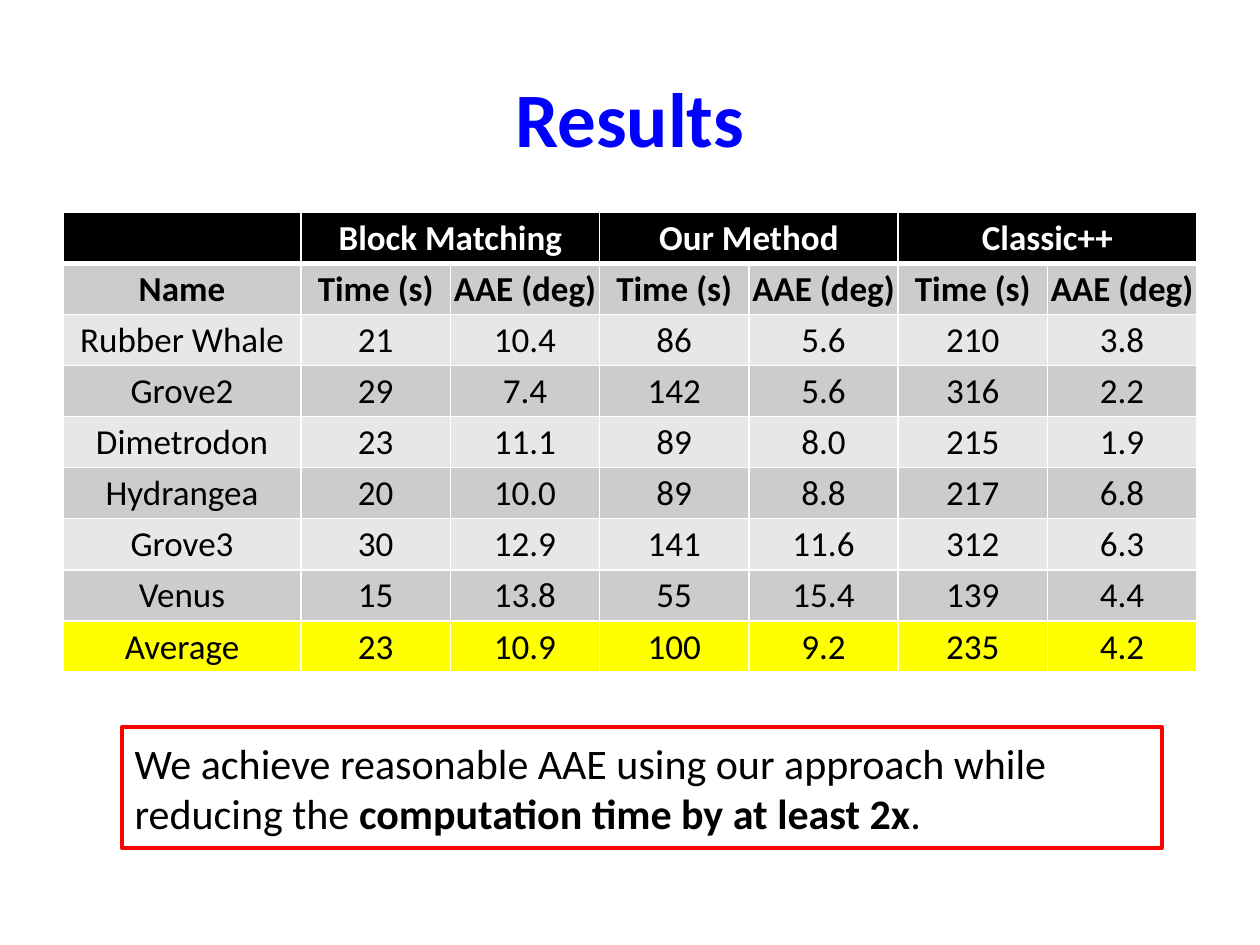
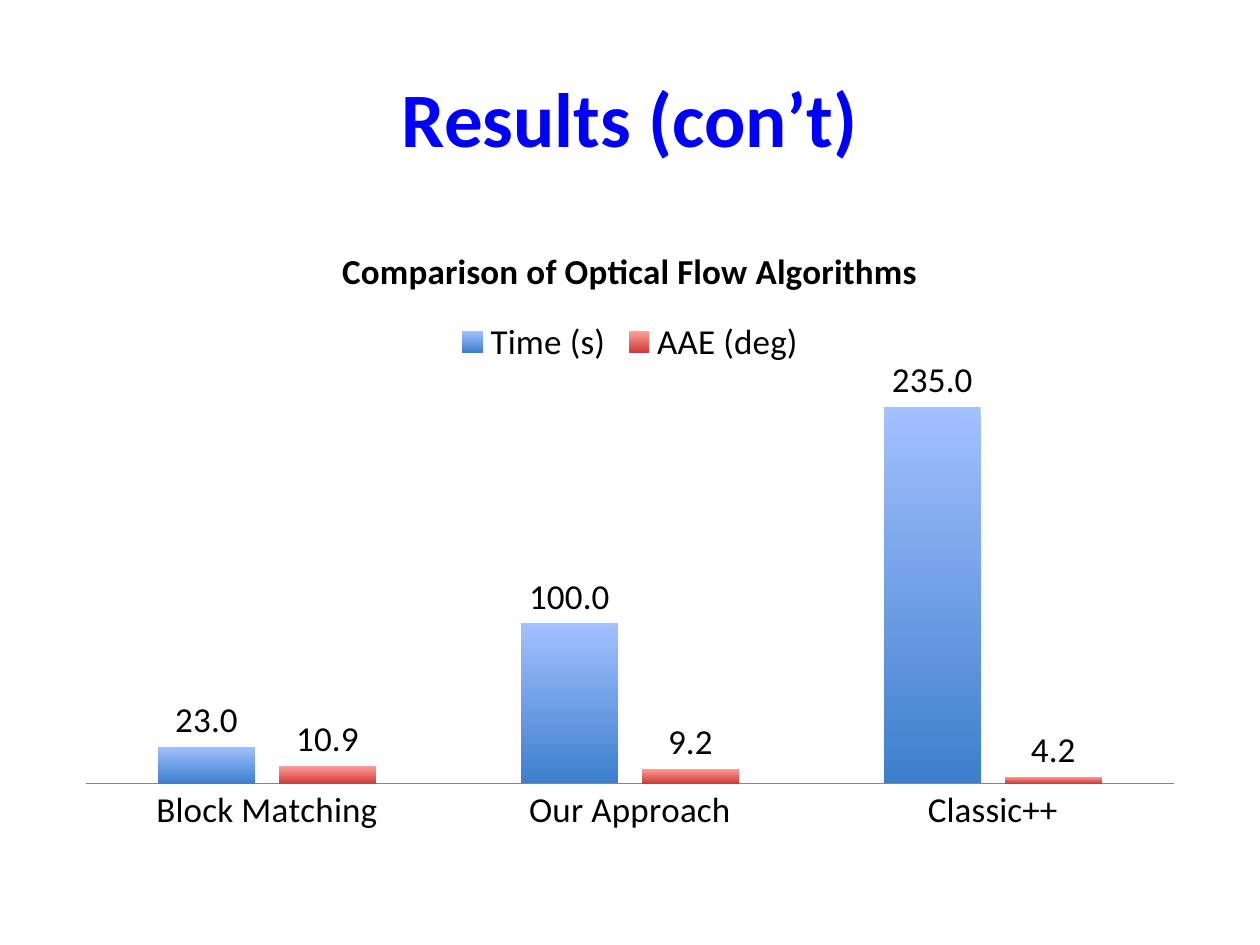
from lxml.etree import SubElement
from pptx import Presentation
from pptx.chart.data import CategoryChartData
from pptx.dml.color import RGBColor
from pptx.enum.chart import XL_CHART_TYPE as ChartType
from pptx.enum.chart import XL_LABEL_POSITION as LabelPosition
from pptx.enum.chart import XL_LEGEND_POSITION as LegendPosition
from pptx.enum.chart import XL_TICK_MARK as TickMark
from pptx.enum.shapes import MSO_SHAPE as ShapeType
from pptx.enum.text import MSO_ANCHOR as Anchor
from pptx.enum.text import PP_ALIGN as Align
from pptx.oxml.ns import qn
from pptx.util import Pt

FONT = "Calibri"
BLACK = RGBColor(0, 0, 0)
WHITE = RGBColor(255, 255, 255)
TITLE_BLUE = RGBColor(0, 0, 255)
BOX_RED = RGBColor(255, 0, 0)
HIGHLIGHT = RGBColor(255, 255, 0)
BAND_DARK = RGBColor(0xCC, 0xCC, 0xCC)
BAND_LIGHT = RGBColor(0xE7, 0xE7, 0xE7)
AXIS_GRAY = RGBColor(0x86, 0x86, 0x86)
TIME_GRADIENT = (RGBColor(0xA3, 0xC0, 0xFF), RGBColor(0x3D, 0x7F, 0xCD))
ERROR_GRADIENT = (RGBColor(0xFF, 0x9F, 0x9C), RGBColor(0xD0, 0x3C, 0x38))

LEFT, WIDTH = Pt(36), Pt(648)
NAME_WIDTH, VALUE_WIDTH, ROW_HEIGHT = Pt(136.08), Pt(85.32), Pt(29.2)

METHODS = ["Block Matching", "Our Method", "Classic++"]
MEASURES = ["Time (s)", "AAE (deg)"]
RESULTS = [
    ["Rubber Whale", "21", "10.4", "86", "5.6", "210", "3.8"],
    ["Grove2", "29", "7.4", "142", "5.6", "316", "2.2"],
    ["Dimetrodon", "23", "11.1", "89", "8.0", "215", "1.9"],
    ["Hydrangea", "20", "10.0", "89", "8.8", "217", "6.8"],
    ["Grove3", "30", "12.9", "141", "11.6", "312", "6.3"],
    ["Venus", "15", "13.8", "55", "15.4", "139", "4.4"],
    ["Average", "23", "10.9", "100", "9.2", "235", "4.2"],
]


def style_font(font, size, color=BLACK, bold=False):
    font.name = FONT
    font.size = Pt(size)
    font.bold = bold
    font.color.rgb = color


def add_titled_slide(presentation, text):
    slide = presentation.slides.add_slide(presentation.slide_layouts[5])
    title = slide.shapes.title
    title.left, title.top, title.width, title.height = LEFT, Pt(21.6), WIDTH, Pt(90)
    title.text_frame.text = text
    title.text_frame.vertical_anchor = Anchor.MIDDLE
    paragraph = title.text_frame.paragraphs[0]
    paragraph.alignment = Align.CENTER
    style_font(paragraph.font, 44, TITLE_BLUE, True)
    return slide


def set_borders(cell, widths):
    properties = cell._tc.get_or_add_tcPr()
    for position, (side, width) in enumerate(widths.items()):
        line = SubElement(properties, qn(f"a:ln{side}"), w=str(Pt(width)))
        fill = SubElement(line, qn("a:solidFill"))
        SubElement(fill, qn("a:srgbClr"), val=str(WHITE))
        properties.insert(position, line)


def format_cell(cell, text, fill, color, bold, widths):
    cell.fill.solid()
    cell.fill.fore_color.rgb = fill
    cell.vertical_anchor = Anchor.MIDDLE
    cell.margin_left = cell.margin_right = cell.margin_top = Pt(0.72)
    cell.margin_bottom = 0
    cell.text_frame.text = text
    paragraph = cell.text_frame.paragraphs[0]
    paragraph.alignment = Align.CENTER
    style_font(paragraph.font, 20, color, bold)
    set_borders(cell, widths)


def row_fill(row, last_row):
    if row == 0:
        return BLACK
    if row == last_row:
        return HIGHLIGHT
    return BAND_DARK if row % 2 else BAND_LIGHT


def add_results_table(slide):
    method_row = [""] + [text for method in METHODS for text in (method, "")]
    rows = [method_row, ["Name"] + MEASURES * len(METHODS)] + RESULTS
    frame = slide.shapes.add_table(
        len(rows), len(method_row), LEFT, Pt(121.2), WIDTH, ROW_HEIGHT * len(rows))
    table = frame.table
    table.first_row = table.horz_banding = False
    for index, column in enumerate(table.columns):
        column.width = VALUE_WIDTH if index else NAME_WIDTH
    for row, texts in enumerate(rows):
        table.rows[row].height = ROW_HEIGHT
        widths = {"L": 1, "R": 1, "T": 3 if row == 1 else 1, "B": 1 if row else 3}
        for column, text in enumerate(texts):
            format_cell(table.cell(row, column), text, row_fill(row, len(rows) - 1),
                        BLACK if row else WHITE, row < 2, widths)
    for column in range(1, len(method_row), 2):
        table.cell(0, column).merge(table.cell(0, column + 1))


def add_conclusion_box(slide, runs):
    box = slide.shapes.add_shape(ShapeType.RECTANGLE, Pt(69.84), Pt(415.4), Pt(594), Pt(69.2))
    box.shadow.inherit = False
    box.fill.background()
    box.line.color.rgb = BOX_RED
    box.line.width = Pt(2.25)
    box.text_frame.word_wrap = True
    box.text_frame.vertical_anchor = Anchor.MIDDLE
    paragraph = box.text_frame.paragraphs[0]
    paragraph.alignment = Align.LEFT
    for text, bold in runs:
        run = paragraph.add_run()
        run.text = text
        style_font(run.font, 24, BLACK, bold)


def format_series(series, gradient):
    fill = series.format.fill
    fill.gradient()
    fill.gradient_angle = 270
    for stop, color in zip(fill.gradient_stops, gradient):
        stop.color.rgb = color
    labels = series.data_labels
    labels.show_value = True
    labels.number_format = "0.0"
    labels.number_format_is_linked = False
    labels.position = LabelPosition.OUTSIDE_END
    style_font(labels.font, 20)


def add_comparison_chart(slide):
    data = CategoryChartData(number_format="0.0")
    data.categories = ["Block Matching", "Our Approach", "Classic++"]
    for name, values in zip(MEASURES, [(23, 100, 235), (10.9, 9.2, 4.2)]):
        data.add_series(name, values)
    chart = slide.shapes.add_chart(
        ChartType.COLUMN_CLUSTERED, LEFT, Pt(126), WIDTH, Pt(356.4), data).chart
    style_font(chart.font, 10)

    chart.has_title = True
    chart.chart_title.include_in_layout = False
    title_frame = chart.chart_title.text_frame
    title_frame.text = "Comparison of Optical Flow Algorithms"
    style_font(title_frame.paragraphs[0].font, 20, BLACK, True)

    chart.has_legend = True
    chart.legend.position = LegendPosition.TOP
    chart.legend.include_in_layout = False
    style_font(chart.legend.font, 20)

    category_axis = chart.category_axis
    category_axis.major_tick_mark = category_axis.minor_tick_mark = TickMark.NONE
    category_axis.format.line.color.rgb = AXIS_GRAY
    style_font(category_axis.tick_labels.font, 20)
    value_axis = chart.value_axis
    value_axis.visible = False
    value_axis.has_major_gridlines = False
    value_axis.minimum_scale, value_axis.maximum_scale = 0, 250

    plot = chart.plots[0]
    plot.vary_by_categories = False
    plot.gap_width, plot.overlap = 150, -25
    for series, gradient in zip(plot.series, (TIME_GRADIENT, ERROR_GRADIENT)):
        format_series(series, gradient)


def main():
    presentation = Presentation()
    presentation.slide_width, presentation.slide_height = Pt(720), Pt(540)

    results = add_titled_slide(presentation, "Results")
    add_results_table(results)
    add_conclusion_box(results, [
        ("We achieve reasonable AAE using our approach while reducing the ", False),
        ("computation time by at least 2x", True),
        (".", False),
    ])

    comparison = add_titled_slide(presentation, "Results (con’t)")
    add_comparison_chart(comparison)

    presentation.save("out.pptx")


if __name__ == "__main__":
    main()
